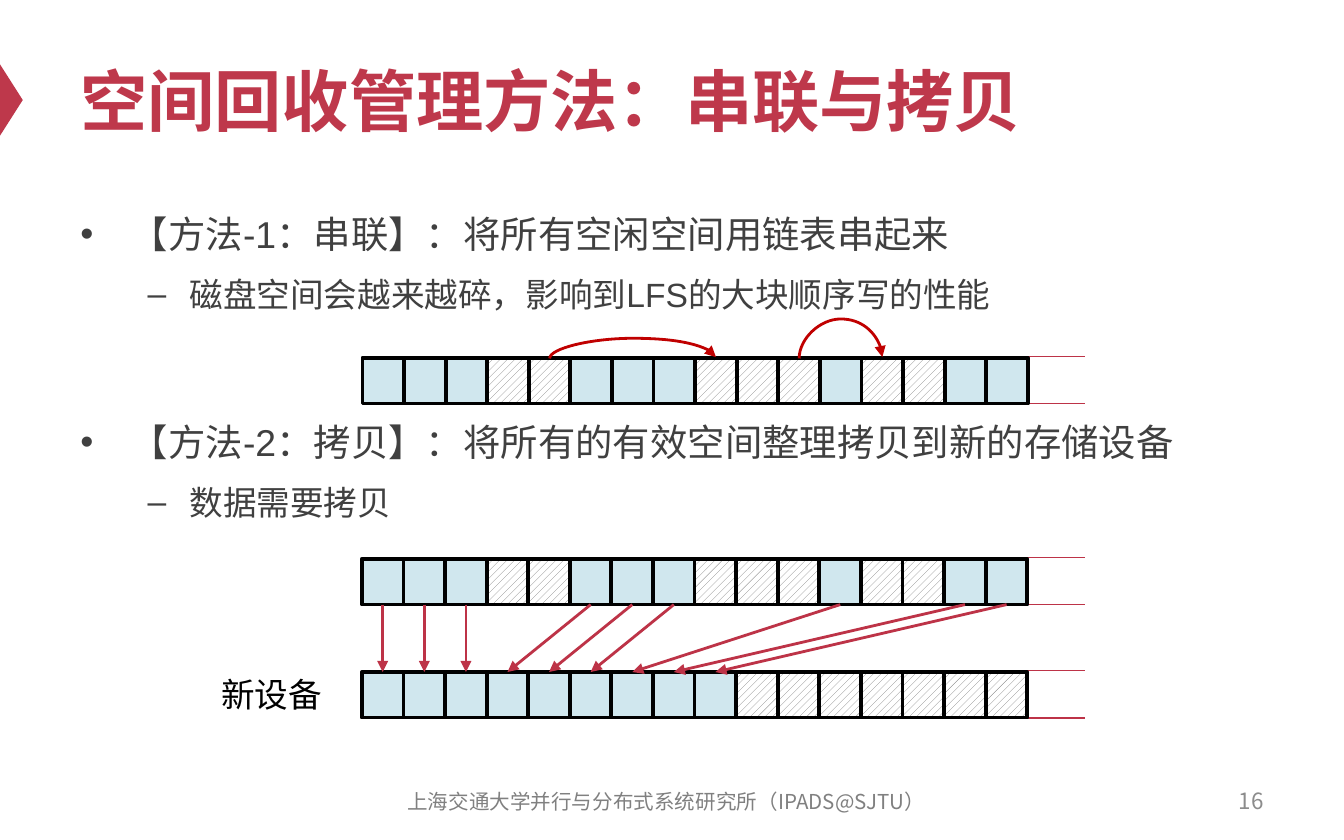
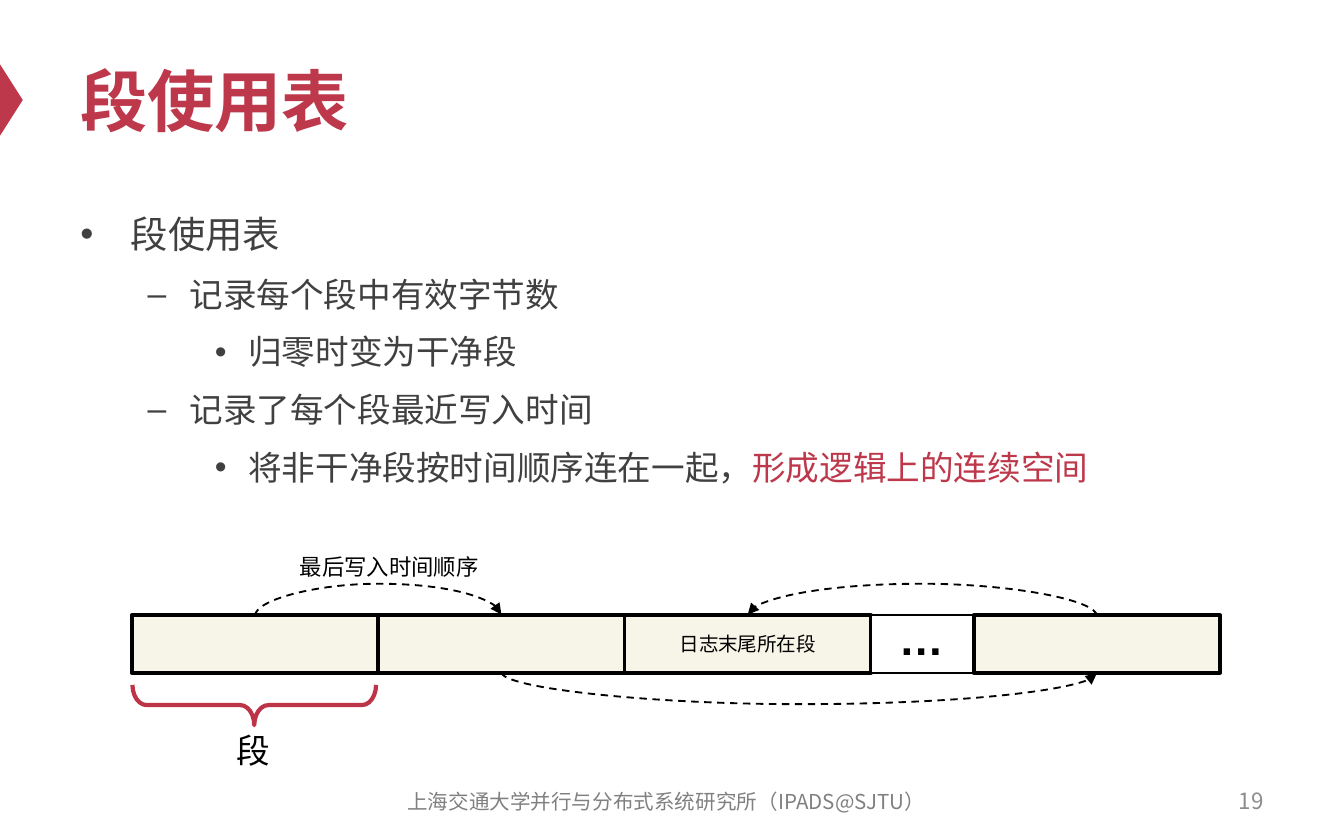
from dataclasses import dataclass

from lxml.etree import SubElement
from pptx import Presentation
from pptx.dml.color import RGBColor
from pptx.enum.dml import MSO_LINE, MSO_PATTERN
from pptx.enum.shapes import MSO_CONNECTOR, MSO_SHAPE
from pptx.enum.text import MSO_ANCHOR, MSO_AUTO_SIZE, PP_ALIGN
from pptx.oxml.ns import qn
from pptx.util import Pt

RED, ROSE, DARK_RED = "BE384B", "BD3347", "C00000"
BLACK, WHITE, BODY_GREY, HATCH_GREY = "000000", "FFFFFF", "404040", "808080"
USED_BLUE, SEGMENT_CREAM = "D0E7EE", "F7F4E8"
LATIN, CJK = "Arial", "Noto Sans CJK SC"
FOOTER = "上海交通大学并行与分布式系统研究所（IPADS@SJTU）"

CELL_COUNT, CELL_W, CELL_H = 16, 22.28, 24.5
ROW_END = 581
ARC_RISE = 0.72


@dataclass(frozen=True)
class Box:
    left: float
    top: float
    width: float
    height: float

    def points(self):
        return Pt(self.left), Pt(self.top), Pt(self.width), Pt(self.height)


@dataclass(frozen=True)
class TextStyle:
    size: float
    color: str = BLACK
    font: str = LATIN
    bold: bool = False
    align: PP_ALIGN = PP_ALIGN.LEFT


@dataclass(frozen=True)
class Level:
    bullet: str
    margin: float
    hanging: float
    size: float
    before: float


@dataclass(frozen=True)
class Item:
    level: int
    text: str
    accent: str = ""
    before: float | None = None


@dataclass(frozen=True)
class Stroke:
    color: str
    width: float
    dashed: bool = False
    arrow: bool = True


LEVELS = [
    Level("•", 27, 27, 20, 12),
    Level("–", 58.5, 22.5, 18, 5),
    Level("•", 90, 18, 18, 5),
]
TITLE = TextStyle(36, RED, bold=True)
LABEL = TextStyle(18)
NUMBER = TextStyle(12, "8C8C8C", CJK, align=PP_ALIGN.RIGHT)
FOOT = TextStyle(11, HATCH_GREY, CJK, align=PP_ALIGN.CENTER)

RAIL = Stroke(ROSE, 0.75, arrow=False)
COPY_ARROW = Stroke(ROSE, 1.5)
CHAIN_ARROW = Stroke(DARK_RED, 1.5)
TIME_ARROW = Stroke(BLACK, 1, dashed=True)


def rgb(color: str) -> RGBColor:
    return RGBColor.from_string(color)


def format_run(r, style: TextStyle) -> None:
    r.font.size = Pt(style.size)
    r.font.bold = style.bold
    r.font.color.rgb = rgb(style.color)
    r.font.name = style.font
    r_pr = r.font._element
    r_pr.set("lang", "zh-CN")
    SubElement(r_pr, qn("a:ea")).set("typeface", style.font)


def write(sp, text: str, style: TextStyle) -> None:
    tf = sp.text_frame
    tf.text = text
    p = tf.paragraphs[0]
    p.alignment = style.align
    format_run(p.runs[0], style)


def add_text(s, box: Box, text: str, style: TextStyle) -> None:
    """Add wrapped text, centred vertically in its box."""
    sp = s.shapes.add_textbox(*box.points())
    sp.text_frame.word_wrap = True
    sp.text_frame.vertical_anchor = MSO_ANCHOR.MIDDLE
    write(sp, text, style)


def add_label(s, box: Box, text: str, style: TextStyle = LABEL) -> None:
    """Add a one-line label whose box fits its text."""
    sp = s.shapes.add_textbox(*box.points())
    sp.text_frame.word_wrap = False
    sp.text_frame.auto_size = MSO_AUTO_SIZE.SHAPE_TO_FIT_TEXT
    write(sp, text, style)


def add_body(s, items: list[Item]) -> None:
    tf = s.shapes.add_textbox(*Box(36, 105, 648, 297).points()).text_frame
    tf.word_wrap = True
    for i, item in enumerate(items):
        level = LEVELS[item.level]
        p = tf.paragraphs[0] if i == 0 else tf.add_paragraph()
        p.level = item.level
        p_pr = p._p.get_or_add_pPr()
        p_pr.set("marL", str(Pt(level.margin)))
        p_pr.set("indent", str(-Pt(level.hanging)))
        SubElement(p_pr, qn("a:buFont")).set("typeface", LATIN)
        SubElement(p_pr, qn("a:buChar")).set("char", level.bullet)
        p.line_spacing = 1.2
        if i > 0:
            p.space_before = Pt(level.before if item.before is None else item.before)
        for text, color in ((item.text, BODY_GREY), (item.accent, RED)):
            if text:
                r = p.add_run()
                r.text = text
                format_run(r, TextStyle(level.size, color))


def add_shape(s, kind: MSO_SHAPE, box: Box, fill: str | None,
              line: str | None = None, line_width: float = 2):
    sp = s.shapes.add_shape(kind, *box.points())
    sp.shadow.inherit = False
    if fill:
        sp.fill.solid()
        sp.fill.fore_color.rgb = rgb(fill)
    else:
        sp.fill.background()
    if line:
        sp.line.color.rgb = rgb(line)
        sp.line.width = Pt(line_width)
    else:
        sp.line.fill.background()
    return sp


def style_connector(c, stroke: Stroke) -> None:
    c.line.color.rgb = rgb(stroke.color)
    c.line.width = Pt(stroke.width)
    if stroke.dashed:
        c.line.dash_style = MSO_LINE.DASH
    if stroke.arrow:
        SubElement(c.line._get_or_add_ln(), qn("a:tailEnd")).set("type", "triangle")
    SubElement(c._element.spPr, qn("a:effectLst"))


def add_line(s, x1: float, y1: float, x2: float, y2: float, stroke: Stroke):
    c = s.shapes.add_connector(MSO_CONNECTOR.STRAIGHT, Pt(x1), Pt(y1), Pt(x2), Pt(y2))
    style_connector(c, stroke)
    return c


def add_arc(s, start, end, bulge: float, stroke: Stroke, below: bool = False) -> None:
    """Join the same side of two rectangles with an arc that bulges outwards."""
    x1 = start.left + start.width // 2
    x2 = end.left + end.width // 2
    y = start.top + (start.height if below else 0)
    c = s.shapes.add_connector(MSO_CONNECTOR.CURVE, x1, y, x2, y)
    site = 2 if below else 0
    c.begin_connect(start, site)
    c.end_connect(end, site)

    # The curve is a tall, thin box turned on its side.
    span, rise = abs(x2 - x1), Pt(ARC_RISE)
    c.left, c.top = (x1 + x2 - rise) // 2, y - span // 2
    c.width, c.height = rise, span
    if below:
        turn, flip_h, flip_v = 270, "1", "0"
    elif x2 < x1:
        turn, flip_h, flip_v = 270, "0", "1"
    else:
        turn, flip_h, flip_v = 90, "1", "1"
    xfrm = c._element.spPr.find(qn("a:xfrm"))
    xfrm.set("rot", str(turn * 60000))
    xfrm.set("flipH", flip_h)
    xfrm.set("flipV", flip_v)
    guides = c._element.spPr.find(qn("a:prstGeom")).find(qn("a:avLst"))
    guide = SubElement(guides, qn("a:gd"))
    guide.set("name", "adj1")
    guide.set("fmla", f"val {round(bulge / ARC_RISE * 100000)}")
    style_connector(c, stroke)


def add_block_row(s, left: float, top: float, used: list[int]) -> list:
    """Draw a row of disk blocks; blocks not in used are hatched as free."""
    for y in (top - 0.7, top + CELL_H + 0.1):
        add_line(s, left, y, ROW_END, y, RAIL)
    cells = []
    for i in range(CELL_COUNT):
        box = Box(left + i * CELL_W, top, CELL_W, CELL_H)
        cell = add_shape(s, MSO_SHAPE.RECTANGLE, box, USED_BLUE, BLACK)
        if i not in used:
            cell.fill.patterned()
            cell.fill.pattern = MSO_PATTERN.WIDE_UPWARD_DIAGONAL
            cell.fill.fore_color.rgb = rgb(HATCH_GREY)
            cell.fill.back_color.rgb = rgb(WHITE)
        cells.append(cell)
    return cells


def add_slide(prs, title: str, number: int):
    s = prs.slides.add_slide(prs.slide_layouts[6])
    marker = add_shape(s, MSO_SHAPE.ISOSCELES_TRIANGLE, Box(-13, 47.5, 38.2, 12.2), RED)
    marker.rotation = 90
    add_text(s, Box(36, 18, 648, 70.5), title, TITLE)
    add_text(s, Box(516, 417, 168, 24), str(number), NUMBER)
    add_text(s, Box(201, 417.5, 312, 24), FOOTER, FOOT)
    return s


def build_reclaim_slide(prs) -> None:
    s = add_slide(prs, "空间回收管理方法：串联与拷贝", 16)
    add_body(s, [
        Item(0, "【方法-1：串联】：将所有空闲空间用链表串起来"),
        Item(1, "磁盘空间会越来越碎，影响到LFS的大块顺序写的性能"),
        Item(0, "【方法-2：拷贝】：将所有的有效空间整理拷贝到新的存储设备", before=51.6),
        Item(1, "数据需要拷贝"),
    ])
    used = [0, 1, 2, 5, 6, 7, 11, 14, 15]

    chained = add_block_row(s, 194.2, 191.7, used)
    add_arc(s, chained[4], chained[8], 11, CHAIN_ARROW)
    add_arc(s, chained[10], chained[12], 21.5, CHAIN_ARROW)

    old = add_block_row(s, 193.9, 299.4, used)
    new = add_block_row(s, 193.9, 360, list(range(len(used))))
    for target, source in enumerate(used):
        c = add_line(s, 0, 0, 0, 0, COPY_ARROW)
        c.begin_connect(old[source], 2)
        c.end_connect(new[target], 0)
    add_label(s, Box(111.5, 357.5, 69, 29), "新设备")


def build_segment_slide(prs) -> None:
    s = add_slide(prs, "段使用表", 19)
    add_body(s, [
        Item(0, "段使用表"),
        Item(1, "记录每个段中有效字节数"),
        Item(2, "归零时变为干净段"),
        Item(1, "记录了每个段最近写入时间"),
        Item(2, "将非干净段按时间顺序连在一起，", "形成逻辑上的连续空间"),
    ])
    add_label(s, Box(119.5, 387.5, 32.5, 29), "段")

    segment_w, gap_w, top, height = 132, 55, 329.6, 30.8
    left, segments = 70.6, []
    for is_gap in (False, False, False, True, False):
        width = gap_w if is_gap else segment_w
        box = Box(left, top, width, height)
        if is_gap:
            add_shape(s, MSO_SHAPE.RECTANGLE, box, WHITE, BLACK, 1)
        else:
            segments.append(add_shape(s, MSO_SHAPE.RECTANGLE, box, SEGMENT_CREAM, BLACK))
        left += width
    first, second, tail, last = segments
    tail.text_frame.word_wrap = False
    tail.text_frame.vertical_anchor = MSO_ANCHOR.MIDDLE
    write(tail, "日志末尾所在段", TextStyle(10.5, align=PP_ALIGN.CENTER))
    add_label(s, Box(474.5, 323.5, 39, 36), "…", TextStyle(24, bold=True))

    brace = add_shape(s, MSO_SHAPE.RIGHT_BRACE, Box(125.4, 312.5, 21.6, 130.5), None, ROSE, 2.25)
    brace.rotation = 90
    brace.adjustments[0] = 0.35
    brace.adjustments[1] = 0.5

    add_arc(s, first, second, 17.5, TIME_ARROW)
    add_arc(s, second, last, 17.5, TIME_ARROW, below=True)
    add_arc(s, last, tail, 17.5, TIME_ARROW)
    add_label(s, Box(153.5, 292.5, 116, 21.8), "最后写入时间顺序", TextStyle(12))


def main() -> None:
    prs = Presentation()
    prs.slide_width, prs.slide_height = Pt(720), Pt(450)
    build_reclaim_slide(prs)
    build_segment_slide(prs)
    prs.save("out.pptx")


if __name__ == "__main__":
    main()
